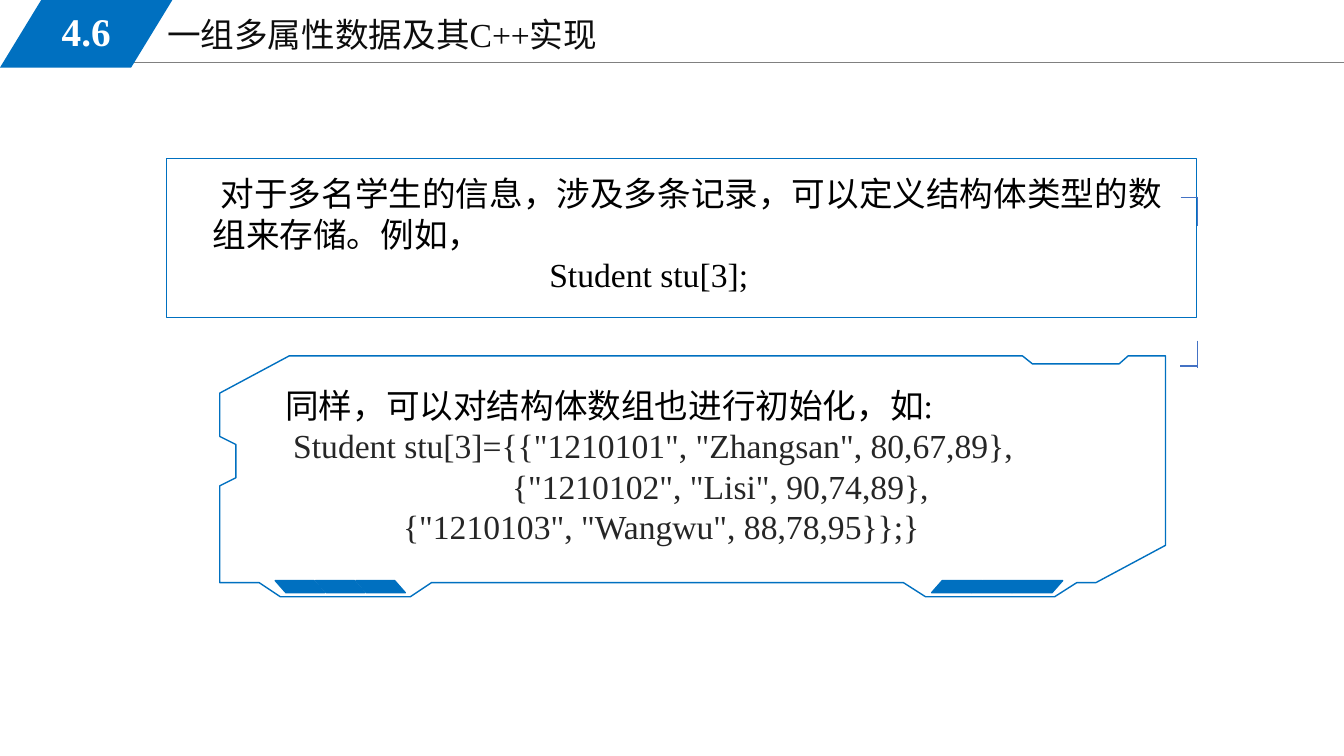
from dataclasses import dataclass

import pptx
import pptx.dml.color
import pptx.enum.shapes
import pptx.enum.text
import pptx.oxml.ns
import pptx.util
from lxml import etree

PX = 9144  # EMU in one px: 100 px to the inch
SHAPE = pptx.enum.shapes.MSO_SHAPE
ALIGN = pptx.enum.text.PP_ALIGN
ANCHOR = pptx.enum.text.MSO_ANCHOR


@dataclass(frozen=True)
class Theme:
    font: str = "Times New Roman"
    blue: str = "0070C0"
    corner: str = "4472C4"
    rule: str = "808080"
    title: str = "0D0D0D"
    black: str = "000000"
    code: str = "262626"
    white: str = "FFFFFF"
    body_size: int = 24
    badge_size: int = 28
    thin: float = 0.75
    line: float = 1


THEME = Theme()

FRAME = [
    (918, 592), (1046, 592), (1068, 578), (1087, 578), (1156, 541),
    (1156, 353), (1119, 353), (1110, 361), (1024, 361), (1014, 353),
    (287, 353), (218, 390), (218, 433), (234, 441), (234, 474),
    (218, 482), (218, 578), (257, 578), (278, 592), (407, 592),
    (428, 578), (896, 578),
]


def px(*lengths):
    return [pptx.util.Emu(length * PX) for length in lengths]


def rgb(value):
    return pptx.dml.color.RGBColor.from_string(value)


def style_shape(shape, fill=None, line=None):
    shape.shadow.inherit = False
    if fill:
        shape.fill.solid()
        shape.fill.fore_color.rgb = rgb(fill)
    else:
        shape.fill.background()
    if line:
        shape.line.color.rgb = rgb(line)
        shape.line.width = pptx.util.Pt(THEME.line)
    else:
        shape.line.fill.background()


def add_preset(page, kind, bounds, fill=None, line=None, slant=None, mirrored=False):
    shape = page.shapes.add_shape(kind, *px(*bounds))
    style_shape(shape, fill, line)
    if slant is not None:
        shape.adjustments[0] = slant
    if mirrored:
        shape._element.spPr.xfrm.set("flipH", "1")


def add_outline(page, points):
    builder = page.shapes.build_freeform(*points[0], scale=PX)
    builder.add_line_segments(points[1:], close=True)
    style_shape(builder.convert_to_shape(), line=THEME.blue)


def add_line(page, ends, color, width):
    line = page.shapes.add_connector(pptx.enum.shapes.MSO_CONNECTOR.STRAIGHT, *px(*ends))
    line.line.color.rgb = rgb(color)
    line.line.width = pptx.util.Pt(width)
    etree.SubElement(line._element.spPr, pptx.oxml.ns.qn("a:effectLst"))


def add_text(page, bounds, lines, size=THEME.body_size, bold=False,
             align=ALIGN.LEFT, anchor=ANCHOR.TOP):
    """Each line is (text, color, left margin, first-line indent)."""
    box = page.shapes.add_textbox(*px(*bounds))
    frame = box.text_frame
    frame.word_wrap = True
    frame.vertical_anchor = anchor
    for index, (text, color, margin, indent) in enumerate(lines):
        para = frame.add_paragraph() if index else frame.paragraphs[0]
        para.text = text
        para.alignment = align
        properties = para._p.get_or_add_pPr()
        properties.set("marL", str(margin * PX))
        properties.set("indent", str(indent * PX))
        for span in para.runs:
            span.font.name = THEME.font
            span.font.size = pptx.util.Pt(size)
            span.font.bold = bold
            span.font.color.rgb = rgb(color)


def add_bars(page, left, step, width, mirrored):
    for number in range(3):
        add_preset(page, SHAPE.PARALLELOGRAM, (left + number * step, 576, width, 12),
                   THEME.blue, THEME.blue, 0.88, mirrored)


def main():
    deck = pptx.Presentation()
    deck.slide_width, deck.slide_height = px(1333, 750)
    page = deck.slides.add_slide(deck.slide_layouts[6])

    # Header
    add_line(page, (113, 62, 1333, 62), THEME.rule, THEME.thin)
    add_text(page, (156, 9, 564, 51), [("一组多属性数据及其C++实现", THEME.title, 0, 0)])
    add_preset(page, SHAPE.PARALLELOGRAM, (0, 0, 171, 67), THEME.blue, slant=0.61)
    add_text(page, (25, 2, 121, 58), [("4.6", THEME.white, 0, 0)],
             THEME.badge_size, True, ALIGN.CENTER, ANCHOR.MIDDLE)

    # Array definition
    add_preset(page, SHAPE.RECTANGLE, (165, 157, 1022, 158), line=THEME.blue)
    add_text(page, (201, 167, 986, 131), [
        ("对于多名学生的信息，涉及多条记录，可以定义结构体类型的数组来存储。例如，",
         THEME.black, 0, 8),
        ("Student stu[3];", THEME.black, 334, 0),
    ])
    for ends in ((1171, 196, 1188, 196), (1188, 195, 1188, 224),
                 (1188, 338, 1188, 365), (1188, 363, 1170, 363)):
        add_line(page, ends, THEME.corner, THEME.line)

    # Array initialisation
    add_text(page, (273, 377, 851, 172), [
        ("同样，可以对结构体数组也进行初始化，如:", THEME.black, 0, 0),
        ('Student stu[3]={{"1210101", "Zhangsan", 80,67,89},', THEME.code, 8, 0),
        ('{"1210102", "Lisi", 90,74,89},', THEME.code, 225, 0),
        ('{"1210103", "Wangwu", 88,78,95}};}', THEME.code, 117, 0),
    ])
    add_outline(page, FRAME)
    add_bars(page, 924, 40, 50, False)
    add_bars(page, 273, 40, 49, True)

    deck.save("out.pptx")


if __name__ == "__main__":
    main()
